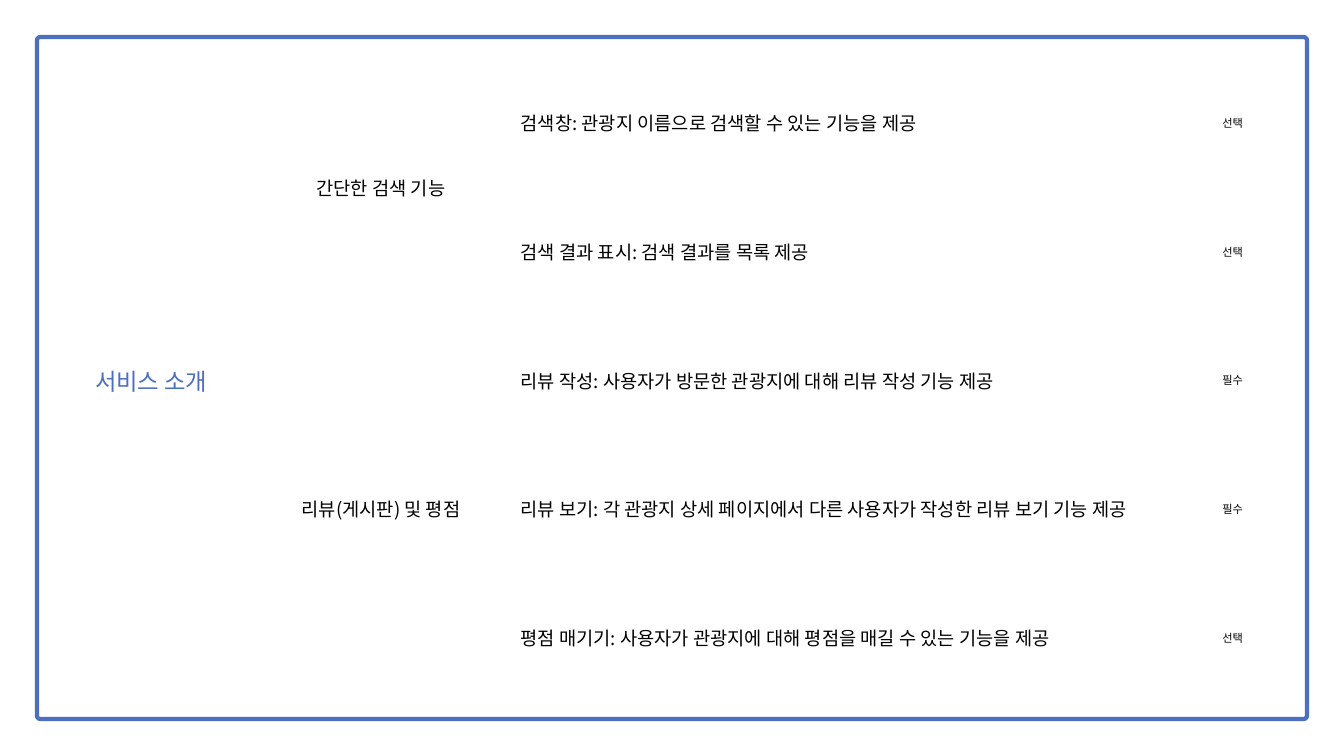
from lxml.etree import SubElement
from pptx import Presentation
from pptx.dml.color import RGBColor
from pptx.enum.shapes import MSO_SHAPE
from pptx.enum.text import MSO_ANCHOR, PP_ALIGN
from pptx.oxml.ns import qn
from pptx.util import Inches, Pt

FONT = "Noto Sans CJK KR"
BLUE = RGBColor(0x4C, 0x6F, 0xBF)
BLACK = RGBColor(0, 0, 0)
WHITE = RGBColor(255, 255, 255)

TITLE = "서비스 소개"
GROUPS = [
    ("간단한 검색 기능", [
        ("검색창: 관광지 이름으로 검색할 수 있는 기능을 제공", "선택"),
        ("검색 결과 표시: 검색 결과를 목록 제공", "선택"),
    ]),
    ("리뷰(게시판) 및 평점", [
        ("리뷰 작성: 사용자가 방문한 관광지에 대해 리뷰 작성 기능 제공", "필수"),
        ("리뷰 보기: 각 관광지 상세 페이지에서 다른 사용자가 작성한 리뷰 보기 기능 제공", "필수"),
        ("평점 매기기: 사용자가 관광지에 대해 평점을 매길 수 있는 기능을 제공", "선택"),
    ]),
]

WIDTH, HEIGHT = 20, 11.25
MARGIN = 0.55
RADIUS = 0.05
TABLE_LEFT, TABLE_TOP, TABLE_HEIGHT = 0.81, 0.87, 9.57
COLUMNS = [2.88, 3.96, 9.87, 1.65]


def write(cell, text, size=20, color=BLACK, align=PP_ALIGN.CENTER):
    cell.vertical_anchor = MSO_ANCHOR.MIDDLE
    p = cell.text_frame.paragraphs[0]
    p.alignment = align
    r = p.add_run()
    r.text = text
    r.font.size = Pt(size)
    r.font.bold = False
    r.font.color.rgb = color
    r.font.name = FONT
    SubElement(r.font._element, qn("a:ea"), typeface=FONT)


prs = Presentation()
prs.slide_width, prs.slide_height = Inches(WIDTH), Inches(HEIGHT)
s = prs.slides.add_slide(prs.slide_layouts[6])

frame_w, frame_h = WIDTH - 2 * MARGIN, HEIGHT - 2 * MARGIN
frame = s.shapes.add_shape(MSO_SHAPE.ROUNDED_RECTANGLE, Inches(MARGIN), Inches(MARGIN),
                           Inches(frame_w), Inches(frame_h))
frame.adjustments[0] = RADIUS / frame_h
frame.shadow.inherit = False
frame.fill.solid()
frame.fill.fore_color.rgb = WHITE
frame.line.color.rgb = BLUE
frame.line.width = Pt(4.5)

row_count = sum(len(features) for _, features in GROUPS)
table = s.shapes.add_table(row_count, len(COLUMNS), Inches(TABLE_LEFT), Inches(TABLE_TOP),
                           Inches(sum(COLUMNS)), Inches(TABLE_HEIGHT)).table
table.first_row = table.horz_banding = False
for column, width in zip(table.columns, COLUMNS):
    column.width = Inches(width)
for cell in table.iter_cells():
    cell.fill.background()

table.cell(0, 0).merge(table.cell(row_count - 1, 0))
write(table.cell(0, 0), TITLE, size=25, color=BLUE)

row = 0
for group, features in GROUPS:
    table.cell(row, 1).merge(table.cell(row + len(features) - 1, 1))
    write(table.cell(row, 1), group)
    for feature, priority in features:
        write(table.cell(row, 2), feature, align=PP_ALIGN.LEFT)
        write(table.cell(row, 3), priority, size=12)
        row += 1

prs.save("out.pptx")
